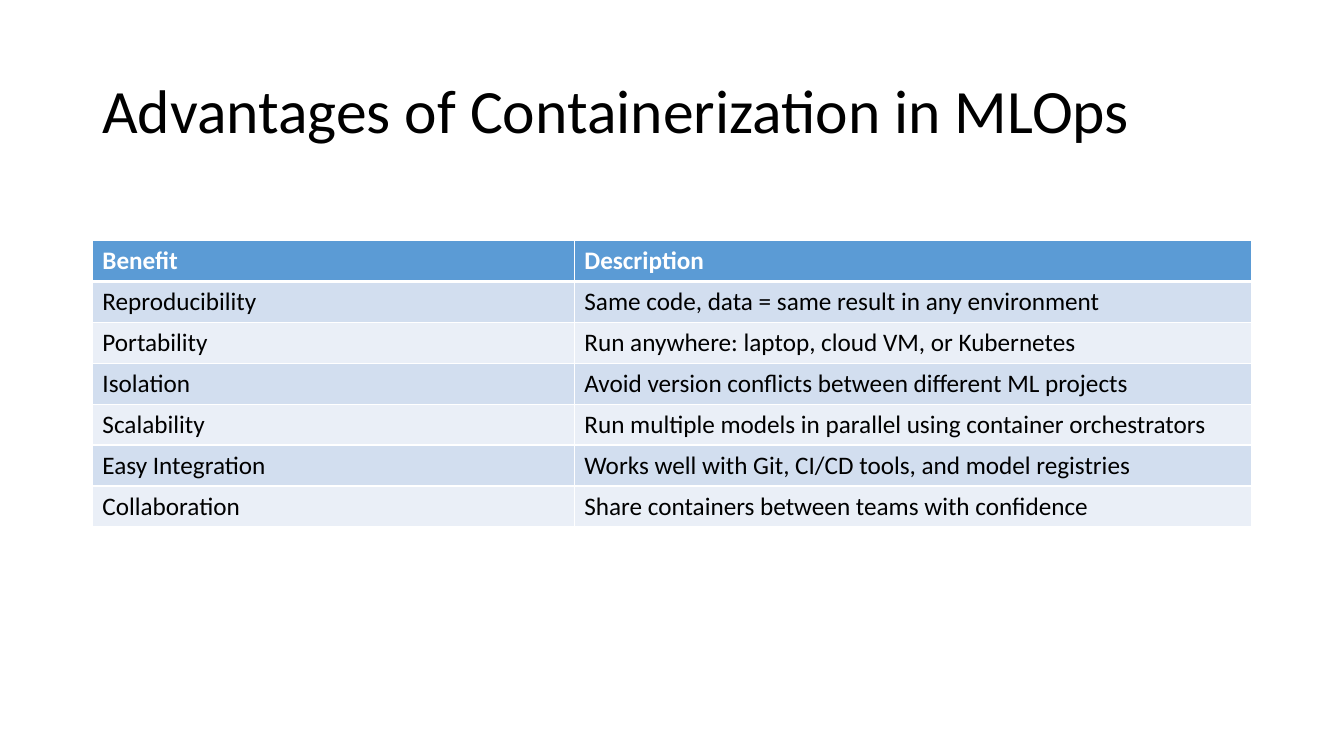
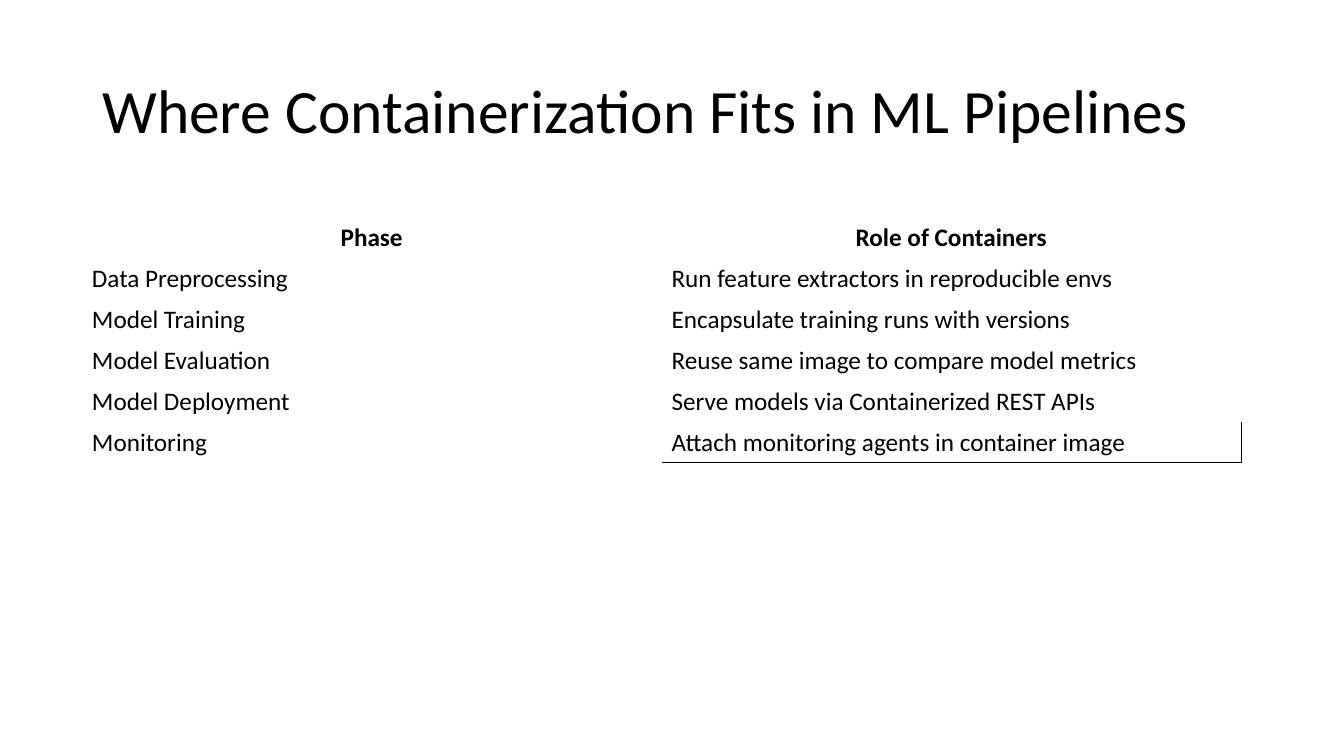
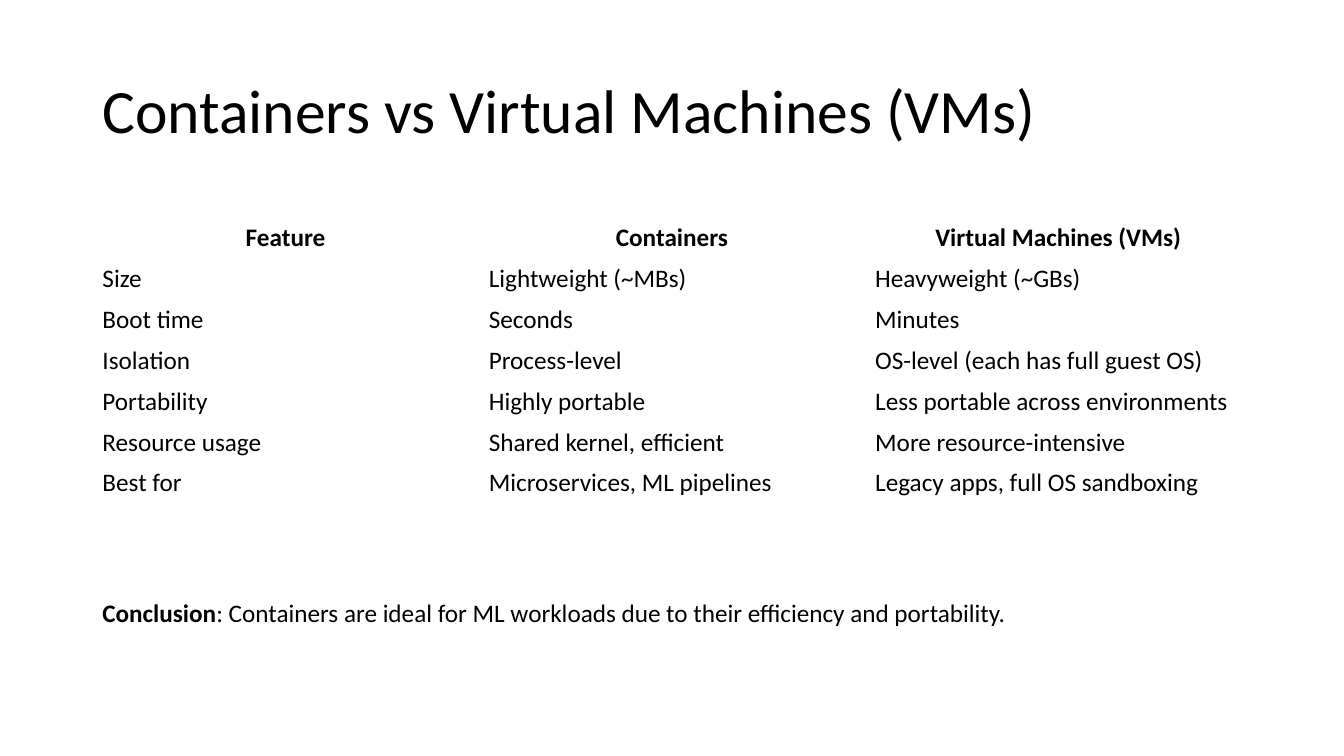
from lxml.etree import SubElement
from pptx import Presentation
from pptx.dml.color import RGBColor
from pptx.enum.text import MSO_ANCHOR as Anchor, PP_ALIGN as Align
from pptx.oxml.ns import qn
from pptx.util import Pt

PX = 9525
FONT = "Calibri"
BLACK = RGBColor(0x00, 0x00, 0x00)
WHITE = RGBColor(0xFF, 0xFF, 0xFF)
BLUE = RGBColor(0x5B, 0x9B, 0xD5)
BAND_DARK = RGBColor(0xD2, 0xDE, 0xEF)
BAND_LIGHT = RGBColor(0xEA, 0xEF, 0xF7)

LEFT = 88
WIDTH = 1104
ROW_HEIGHT = 39


def px(*lengths):
    return [length * PX for length in lengths]


def write_text(paragraph, text, size=18, color=BLACK, bold=False, align=Align.LEFT):
    paragraph.alignment = align
    run = paragraph.add_run()
    run.text = text
    run.font.name = FONT
    run.font.size = Pt(size)
    run.font.bold = bold
    run.font.color.rgb = color


def set_borders(cell, borders):
    properties = cell._tc.get_or_add_tcPr()
    for position, side in enumerate("LRTB"):
        line = SubElement(properties, qn(f"a:ln{side}"))
        properties.insert(position, line)
        if side in borders:
            color, width = borders[side]
            line.set("w", str(Pt(width)))
            fill = SubElement(line, qn("a:solidFill"))
            SubElement(fill, qn("a:srgbClr")).set("val", str(color))
        else:
            line.set("w", "0")
            SubElement(line, qn("a:noFill"))


class Deck:
    def __init__(self):
        self.presentation = Presentation()
        self.presentation.slide_width, self.presentation.slide_height = px(1280, 720)
        self.slide = None

    def add_slide(self, title):
        self.slide = self.presentation.slides.add_slide(self.presentation.slide_layouts[6])
        paragraph = self.text_box(LEFT, 39, WIDTH, 139, Anchor.MIDDLE)
        paragraph.line_spacing = 0.9
        write_text(paragraph, title, size=44)

    def text_box(self, left, top, width, height, anchor=Anchor.TOP):
        frame = self.slide.shapes.add_textbox(*px(left, top, width, height)).text_frame
        frame.word_wrap = True
        frame.vertical_anchor = anchor
        return frame.paragraphs[0]

    def table(self, rows, left, top, widths):
        table = self.slide.shapes.add_table(
            len(rows), len(widths),
            *px(left, top, sum(widths), ROW_HEIGHT * len(rows))).table
        table.horz_banding = False
        for column, width in zip(table.columns, widths):
            column.width = width * PX
        for cell in table.iter_cells():
            cell.vertical_anchor = Anchor.MIDDLE
        return table

    def banded_table(self, rows, left, top, widths):
        table = self.table(rows, left, top, widths)
        for index, texts in enumerate(rows):
            header = index == 0
            borders = {side: (WHITE, 1) for side in "LRTB"}
            if header:
                borders["B"] = (WHITE, 3)
            elif index == 1:
                borders["T"] = (WHITE, 3)
            for cell, text in zip(table.rows[index].cells, texts):
                cell.fill.solid()
                cell.fill.fore_color.rgb = (
                    BLUE if header else BAND_DARK if index % 2 else BAND_LIGHT)
                set_borders(cell, borders)
                write_text(cell.text_frame.paragraphs[0], text, bold=header,
                           color=WHITE if header else BLACK)

    def plain_table(self, rows, left, top, widths, last_borders=None):
        table = self.table(rows, left, top, widths)
        for index, texts in enumerate(rows):
            header = index == 0
            for column, text in enumerate(texts):
                cell = table.cell(index, column)
                cell.fill.background()
                last = index == len(rows) - 1 and column == len(widths) - 1
                set_borders(cell, last_borders if last and last_borders else {})
                write_text(cell.text_frame.paragraphs[0], text, bold=header,
                           align=Align.CENTER if header else Align.LEFT)


BENEFITS = [
    ("Benefit", "Description"),
    ("Reproducibility", "Same code, data = same result in any environment"),
    ("Portability", "Run anywhere: laptop, cloud VM, or Kubernetes"),
    ("Isolation", "Avoid version conflicts between different ML projects"),
    ("Scalability", "Run multiple models in parallel using container orchestrators"),
    ("Easy Integration", "Works well with Git, CI/CD tools, and model registries"),
    ("Collaboration", "Share containers between teams with confidence"),
]

PHASES = [
    ("Phase", "Role of Containers"),
    ("Data Preprocessing", "Run feature extractors in reproducible envs"),
    ("Model Training", "Encapsulate training runs with versions"),
    ("Model Evaluation", "Reuse same image to compare model metrics"),
    ("Model Deployment", "Serve models via Containerized REST APIs"),
    ("Monitoring", "Attach monitoring agents in container image"),
]

FEATURES = [
    ("Feature", "Containers", "Virtual Machines (VMs)"),
    ("Size", "Lightweight (~MBs)", "Heavyweight (~GBs)"),
    ("Boot time", "Seconds", "Minutes"),
    ("Isolation", "Process-level", "OS-level (each has full guest OS)"),
    ("Portability", "Highly portable", "Less portable across environments"),
    ("Resource usage", "Shared kernel, efficient", "More resource-intensive"),
    ("Best for", "Microservices, ML pipelines", "Legacy apps, full OS sandboxing"),
]


def main():
    deck = Deck()

    deck.add_slide("Advantages of Containerization in MLOps")
    deck.banded_table(BENEFITS, LEFT, 229, [459, 645])

    deck.add_slide("Where Containerization Fits in ML Pipelines")
    deck.plain_table(PHASES, 78, 207, [WIDTH // 2] * 2,
                     last_borders={"R": (BLACK, 0.75), "B": (BLACK, 0.75)})

    deck.add_slide("Containers vs Virtual Machines (VMs)")
    deck.plain_table(FEATURES, LEFT, 207, [WIDTH // 3] * 3)
    conclusion = deck.text_box(LEFT, 564, 1094, 38)
    write_text(conclusion, "Conclusion", bold=True)
    write_text(conclusion, ": Containers are ideal for ML workloads due to their "
                           "efficiency and portability.")

    deck.presentation.save("out.pptx")


if __name__ == "__main__":
    main()
